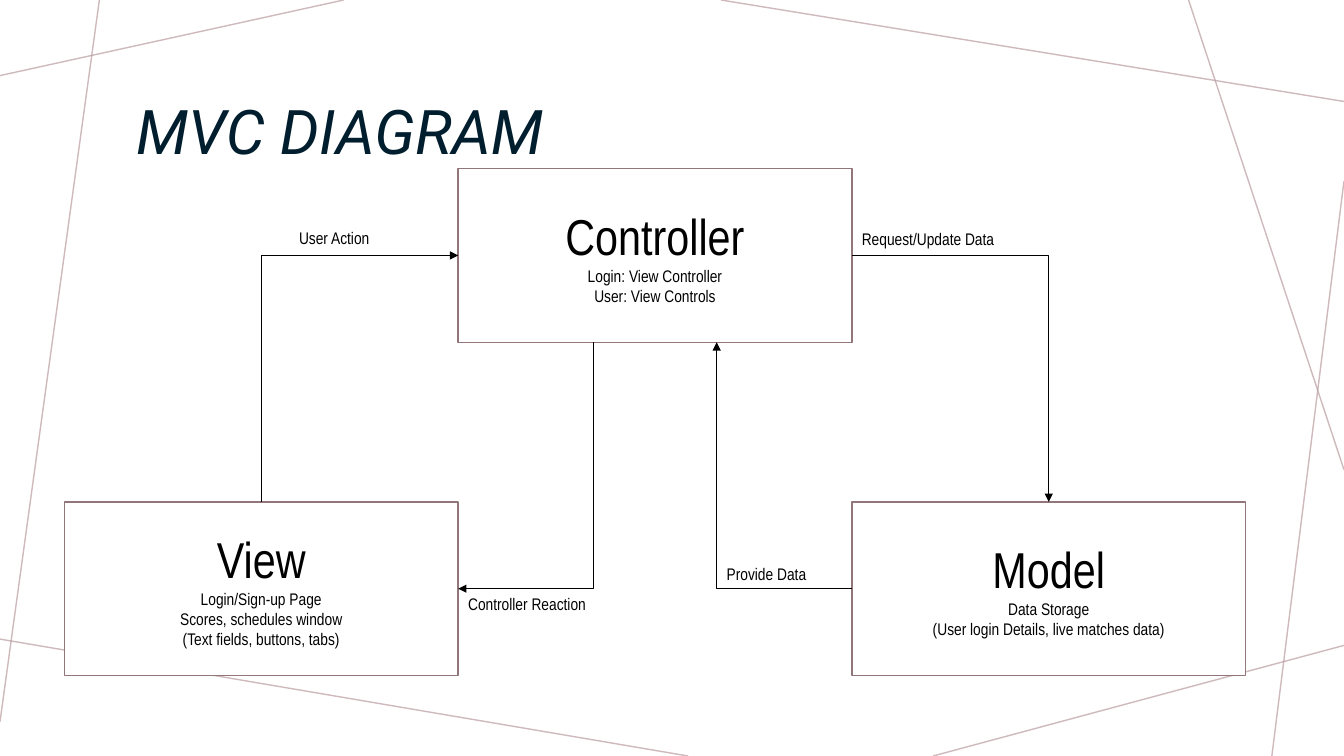
import pptx
import pptx.util
import pptx.dml.color
import pptx.enum.shapes
import pptx.enum.text
import pptx.oxml.ns
import lxml.etree
import dataclasses

Pt = pptx.util.Pt
Align = pptx.enum.text.PP_ALIGN
Anchor = pptx.enum.text.MSO_ANCHOR
Kind = pptx.enum.shapes.MSO_CONNECTOR


@dataclasses.dataclass(frozen=True)
class Theme:
    paper: str = "FFFFFF"
    ink: str = "000000"
    navy: str = "001E2E"
    edge: str = "93767A"
    web: str = "BA9CA0"
    head: str = "Roboto"
    body: str = "Arial Narrow"
    title: int = 44
    name: int = 36
    note: int = 12


theme = Theme()


def color(code):
    return pptx.dml.color.RGBColor.from_string(code)


def child(node, tag, **attrs):
    return lxml.etree.SubElement(node, pptx.oxml.ns.qn(tag), **attrs)


def write(frame, text, size=theme.note, font=theme.body, ink=theme.ink,
          italic=False, align=Align.LEFT, anchor=Anchor.TOP, space=None, first=None):
    frame.word_wrap = True
    frame.vertical_anchor = anchor
    frame.text = text
    for i, para in enumerate(frame.paragraphs):
        para.alignment = align
        para.line_spacing = space
        face = para.runs[0].font
        face.size = Pt(first if first and i == 0 else size)
        face.name = font
        face.italic = italic
        face.color.rgb = color(ink)


def link(slide, kind, start, end, ink, width):
    line = slide.shapes.add_connector(kind, *map(Pt, (*start, *end)))
    line.line.color.rgb = color(ink)
    line.line.width = Pt(width)
    child(line._element.spPr, "a:effectLst")
    return line


def web(slide, box):
    left, top, wide, high = box
    rays = [((245.5, 0), (0, 54)), ((71, 0), (0, 515.5)),
            ((491.5, high), (0, 456.5)), ((wide, 461), (666.5, high)),
            ((wide, 129.5), (908.5, high)), ((wide, 335.5), (849, 0)),
            ((wide, 72.5), (515, 0))]
    for ray in rays:
        start, end = [(left + x, top + y) for x, y in ray]
        line = link(slide, Kind.STRAIGHT, start, end, theme.web, 1)
        tint = line._element.spPr.find(".//" + pptx.oxml.ns.qn("a:srgbClr"))
        child(tint, "a:alpha", val="70000")


def title(slide, box, text):
    shape = slide.shapes.title
    shape.left, shape.top, shape.width, shape.height = map(Pt, box)
    write(shape.text_frame, text, size=theme.title, font=theme.head,
          ink=theme.navy, italic=True, anchor=Anchor.MIDDLE, space=0.9)


def card(slide, box, text):
    shape = slide.shapes.add_shape(
        pptx.enum.shapes.MSO_SHAPE.RECTANGLE, *map(Pt, box))
    shape.shadow.inherit = False
    shape.fill.solid()
    shape.fill.fore_color.rgb = color(theme.paper)
    shape.line.color.rgb = color(theme.edge)
    shape.line.width = Pt(1)
    write(shape.text_frame, text, first=theme.name,
          align=Align.CENTER, anchor=Anchor.MIDDLE)


def label(slide, box, text):
    shape = slide.shapes.add_textbox(*map(Pt, box))
    write(shape.text_frame, text)


def arrow(slide, start, end, down=False):
    (x1, y1), (x2, y2) = start, end
    if down:
        mid_x, mid_y = (x1 + x2) / 2, (y1 + y2) / 2
        half_x, half_y = (y2 - y1) / 2, (x1 - x2) / 2
        start = mid_x - half_x, mid_y - half_y
        end = mid_x + half_x, mid_y + half_y
    line = link(slide, Kind.ELBOW, start, end, theme.ink, 0.5)
    props = line._element.spPr
    props.find(pptx.oxml.ns.qn("a:prstGeom")).set("prst", "bentConnector2")
    if down:
        props.find(pptx.oxml.ns.qn("a:xfrm")).set("rot", "5400000")
    child(line.line._get_or_add_ln(), "a:tailEnd", type="triangle")


def flow(slide, box):
    left, top, wide, high = box
    span, tall = wide / 3, 124
    base = top + high - tall
    near, far = left + span, left + 2 * span
    upper, lower = top + tall / 2, base + tall / 2
    out, back = near + 96.5, far - 96.5
    card(slide, (near, top, span, tall),
         "Controller\nLogin: View Controller\nUser: View Controls")
    card(slide, (left, base, span, tall),
         "View\nLogin/Sign-up Page\nScores, schedules window\n(Text fields, buttons, tabs)")
    card(slide, (far, base, span, tall),
         "Model\nData Storage\n(User login Details, live matches data)")
    arrow(slide, (left + span / 2, base), (near, upper), down=True)
    arrow(slide, (out, top + tall), (near, lower), down=True)
    arrow(slide, (far, upper), (far + span / 2, base))
    arrow(slide, (far, lower), (back, top + tall))
    label(slide, (left + 160.5, upper - 23.5, 84, 22), "User Action")
    label(slide, (near, lower, 134, 22), "Controller Reaction")
    label(slide, (far, upper - 22.5, 127, 22), "Request/Update Data")
    label(slide, (back, lower - 21.5, 96.5, 22), "Provide Data")


deck = pptx.Presentation()
deck.slide_width, deck.slide_height = Pt(960), Pt(540)
page = deck.slides.add_slide(deck.slide_layouts[5])
page.background.fill.solid()
page.background.fill.fore_color.rgb = color(theme.paper)
web(page, (0, 0, 960, 540))
title(page, (90, 42, 780, 108.5), "MVC DIAGRAM")
flow(page, (46, 120.5, 843.75, 362))
deck.save("out.pptx")
